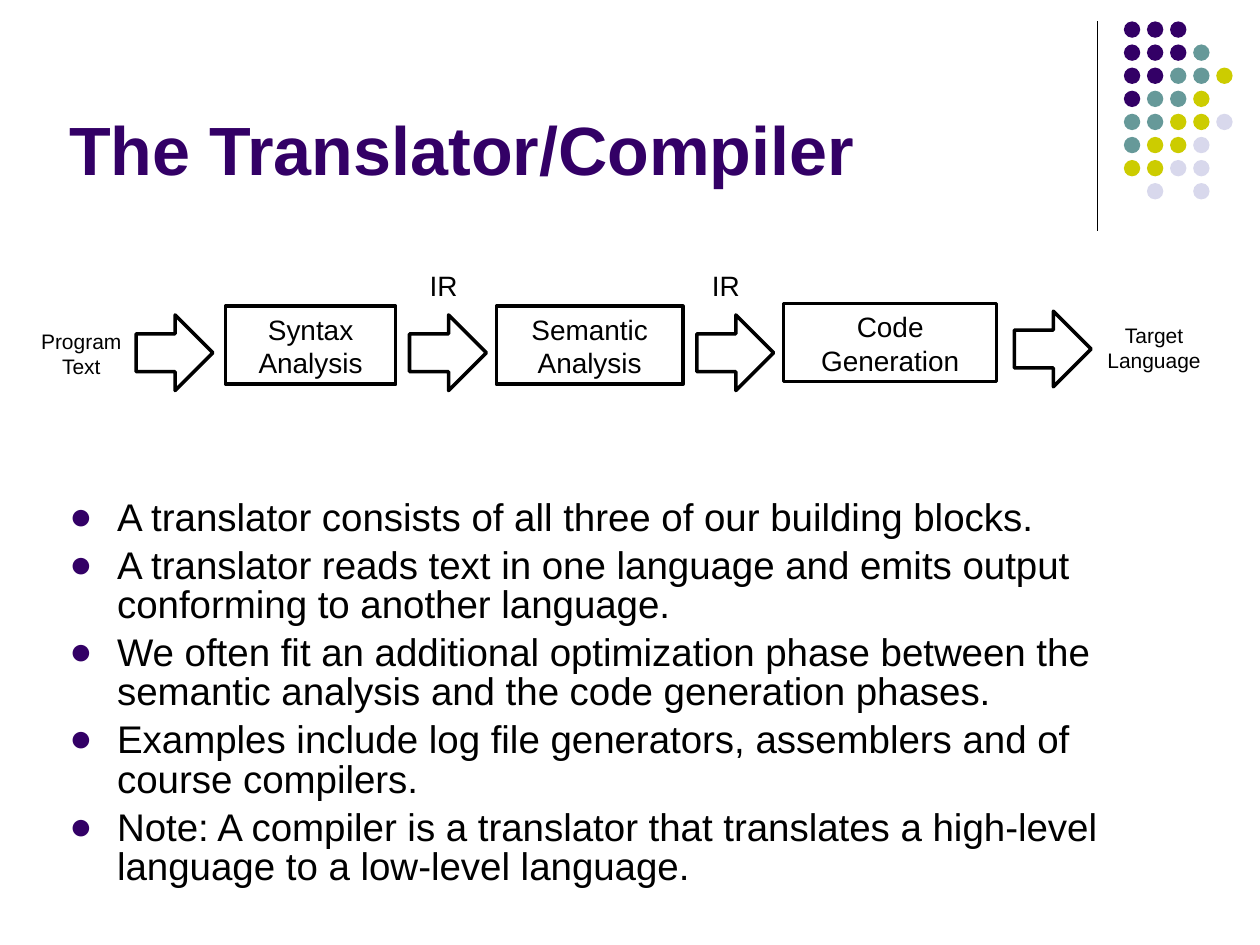
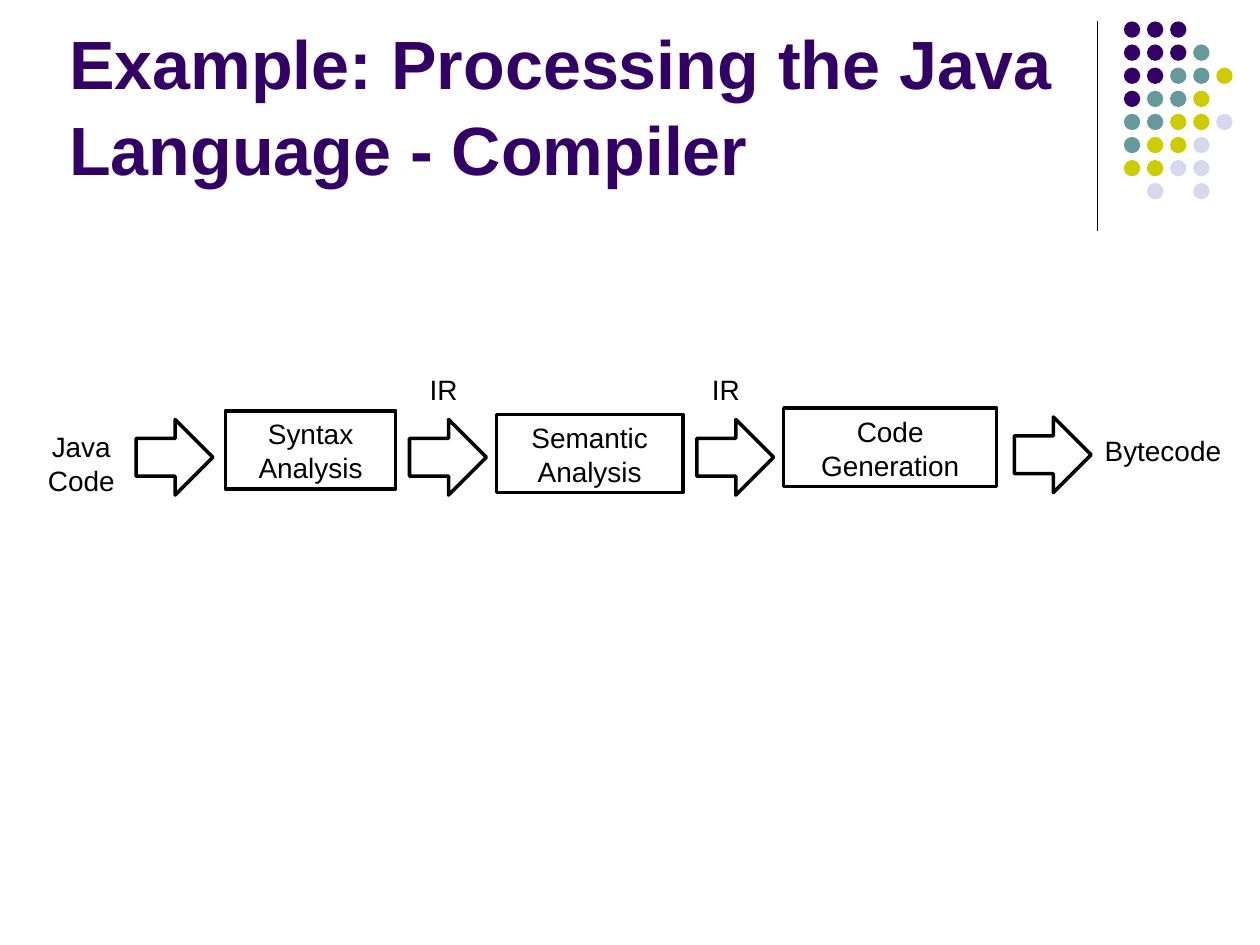
from dataclasses import dataclass
from typing import NamedTuple, Optional

from lxml import etree
from pptx import Presentation
from pptx import util as u
from pptx.dml.color import RGBColor
from pptx.enum import shapes, text
from pptx.oxml import ns


@dataclass(frozen=True)
class Theme:
    font: str = "Arial"
    ink: str = "000000"
    paper: str = "FFFFFF"
    purple: str = "330066"
    teal: str = "669999"
    olive: str = "CCCC00"
    lavender: str = "D8D8EC"
    title_size: int = 39
    body_size: int = 22
    stage_size: int = 16
    small_size: int = 12
    outline: float = 2
    rule: float = 0.75


THEME = Theme()


class Area(NamedTuple):
    left: float
    top: float
    width: float
    height: float

    def lengths(self) -> list:
        return [u.Inches(value) for value in self]


class Part(NamedTuple):
    """A diagram part; dy is measured from the top of the arrow row."""
    left: float
    dy: float
    width: float
    height: float
    words: str = ""
    size: int = THEME.stage_size

    def area(self, row_top: float) -> Area:
        return Area(self.left, row_top + self.dy, self.width, self.height)


@dataclass(frozen=True)
class Page:
    title: str
    row_top: float
    source: Part
    target: Part
    semantic_dy: float
    last_arrow_dy: float
    points: tuple = ()


PAGES = (
    Page(
        "The Translator/Compiler", 2.5,
        Part(0.27, 0.06, 0.75, 0.48, "Program\vText", THEME.small_size),
        Part(8.73, 0.01, 0.86, 0.48, "Target\vLanguage", THEME.small_size),
        semantic_dy=-0.07, last_arrow_dy=-0.03,
        points=(
            "A translator consists of all three of our building blocks.",
            "A translator reads text in one language and emits output "
            "conforming to another language.",
            "We often fit an additional optimization phase between the "
            "semantic analysis and the code generation phases.",
            "Examples include log file generators, assemblers and of "
            "course compilers.",
            "Note: A compiler is a translator that translates a high-level "
            "language to a low-level language.",
        ),
    ),
    Page(
        "Example: Processing the Java Language - Compiler", 3.33,
        Part(0.32, 0.03, 0.65, 0.59, "Java\nCode"),
        Part(8.71, 0.06, 1.04, 0.34, "Bytecode"),
        semantic_dy=-0.04, last_arrow_dy=-0.02,
    ),
)

# One letter per dot, a full stop where the grid is empty
DOT_ROWS = ("PPP..", "PPPT.", "PPTTY", "PTTY.",
            "TTYYL", "TYYL.", "YYLL.", ".L.L.")
DOT_COLOURS = {"P": THEME.purple, "T": THEME.teal,
               "Y": THEME.olive, "L": THEME.lavender}
DOT_PITCH = 0.55 / 3
DOT_SIZE = 0.13


def rgb(colour: str) -> RGBColor:
    return RGBColor.from_string(colour)


def apply(target, values: dict) -> None:
    for attribute, value in values.items():
        setattr(target, attribute, value)


def write(frame, words: str, size: int, colour: str = THEME.ink,
          bold: bool = False, wrap: bool = True,
          anchor=text.MSO_ANCHOR.TOP, paragraph_format: Optional[dict] = None) -> None:
    margin = u.Inches(0.05)
    apply(frame, {"word_wrap": wrap, "vertical_anchor": anchor,
                  "margin_left": margin, "margin_right": margin,
                  "margin_top": margin, "margin_bottom": margin})
    frame.text = words
    for paragraph in frame.paragraphs:
        apply(paragraph, paragraph_format or {})
        for run in paragraph.runs:
            apply(run.font, {"name": THEME.font, "size": u.Pt(size), "bold": bold})
            run.font.color.rgb = rgb(colour)


def draw_shape(slide, kind, area: Area, fill: str, line: Optional[str] = None):
    shape = slide.shapes.add_shape(kind, *area.lengths())
    shape.shadow.inherit = False
    shape.fill.solid()
    shape.fill.fore_color.rgb = rgb(fill)
    if line:
        shape.line.color.rgb = rgb(line)
        shape.line.width = u.Pt(THEME.outline)
    else:
        shape.line.fill.background()
    return shape


def draw_corner(slide) -> None:
    """Vertical rule and dot grid shared by all slides."""
    rule = slide.shapes.add_connector(
        shapes.MSO_CONNECTOR.STRAIGHT,
        u.Inches(8.71), u.Inches(0.17), u.Inches(8.71), u.Inches(1.83))
    rule.line.color.rgb = rgb(THEME.ink)
    rule.line.width = u.Pt(THEME.rule)
    etree.SubElement(rule._element.spPr, ns.qn("a:effectLst"))
    for row, letters in enumerate(DOT_ROWS):
        for column, letter in enumerate(letters):
            if letter in DOT_COLOURS:
                area = Area(8.92 + column * DOT_PITCH, 0.17 + row * DOT_PITCH,
                            DOT_SIZE, DOT_SIZE)
                draw_shape(slide, shapes.MSO_SHAPE.OVAL, area, DOT_COLOURS[letter])


def draw_title(slide, title: str) -> None:
    heading = slide.shapes.add_textbox(*Area(0.5, 0.13, 8.25, 1.42).lengths())
    write(heading.text_frame, title, THEME.title_size, THEME.purple, bold=True,
          anchor=text.MSO_ANCHOR.BOTTOM, paragraph_format={"line_spacing": 1.05})


def draw_pipeline(slide, page: Page) -> None:
    centred = {"alignment": text.PP_ALIGN.CENTER}
    stages = (
        Part(1.79, -0.07, 1.35, 0.62, "Syntax\nAnalysis"),
        Part(3.94, page.semantic_dy, 1.48, 0.62, "Semantic\nAnalysis"),
        Part(6.22, -0.09, 1.69, 0.62, "Code\nGeneration"),
    )
    arrows = [Part(left, dy, 0.61, 0.6) for left, dy in
              ((1.08, 0), (3.25, 0), (5.53, 0), (8.05, page.last_arrow_dy))]
    labels = [Part(left, -0.42, 0.34, 0.34, "IR") for left in (3.35, 5.59)]

    for stage in stages:
        box = draw_shape(slide, shapes.MSO_SHAPE.RECTANGLE,
                         stage.area(page.row_top), THEME.paper, THEME.ink)
        write(box.text_frame, stage.words, stage.size, paragraph_format=centred)
    for arrow in arrows:
        draw_shape(slide, shapes.MSO_SHAPE.RIGHT_ARROW,
                   arrow.area(page.row_top), THEME.paper, THEME.ink)
    for label in (page.source, *labels, page.target):
        caption = slide.shapes.add_textbox(*label.area(page.row_top).lengths())
        write(caption.text_frame, label.words, label.size, wrap=False,
              paragraph_format=centred)


def add_bullet(paragraph) -> None:
    properties = paragraph._p.get_or_add_pPr()
    indent = u.Inches(0.38)
    properties.set("marL", str(indent))
    properties.set("indent", str(-indent))
    colour = etree.SubElement(properties, ns.qn("a:buClr"))
    etree.SubElement(colour, ns.qn("a:srgbClr"), val=THEME.purple)
    etree.SubElement(properties, ns.qn("a:buFont"), typeface=THEME.font)
    etree.SubElement(properties, ns.qn("a:buChar"), char="●")


def draw_points(slide, points: tuple) -> None:
    body = slide.shapes.add_textbox(*Area(0.5, 3.92, 9, 3.24).lengths())
    write(body.text_frame, "\n".join(points), THEME.body_size,
          paragraph_format={"line_spacing": 0.85})
    for index, paragraph in enumerate(body.text_frame.paragraphs):
        if index:
            paragraph.space_before = u.Pt(5)
        add_bullet(paragraph)


def main() -> None:
    deck = Presentation()
    apply(deck, {"slide_width": u.Inches(10), "slide_height": u.Inches(7.5)})
    for page in PAGES:
        slide = deck.slides.add_slide(deck.slide_layouts[6])
        draw_corner(slide)
        draw_title(slide, page.title)
        if page.points:
            draw_points(slide, page.points)
        draw_pipeline(slide, page)
    deck.save("out.pptx")


if __name__ == "__main__":
    main()
